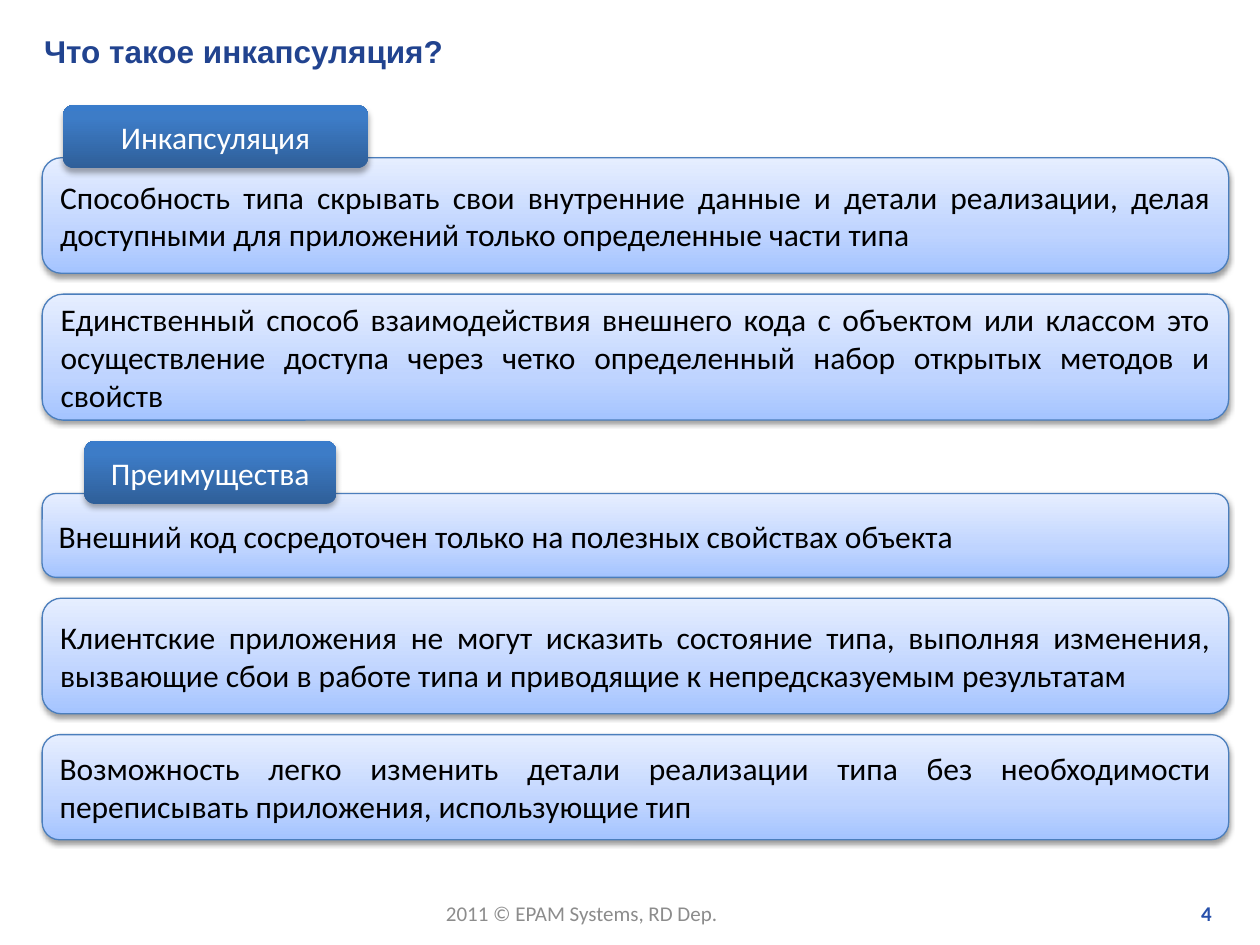
from lxml import etree
from pptx import Presentation
from pptx import util as u
from pptx.dml.color import RGBColor
from pptx.enum import shapes, text
from pptx.oxml.ns import qn

# Content: each group has a tab (left, width, label) and its cards (height, words)
GROUPS = [
    ((1.27, 6.15, "Инкапсуляция"), [
        (2.33, "Способность типа скрывать свои внутренние данные и детали реализации, "
               "делая доступными для приложений только определенные части типа"),
        (2.54, "Единственный способ взаимодействия внешнего кода с объектом или классом "
               "это осуществление доступа через четко определенный набор открытых методов и свойств"),
    ]),
    ((1.7, 5.08, "Преимущества"), [
        (1.69, "Внешний код сосредоточен только на полезных свойствах объекта"),
        (2.33, "Клиентские приложения не могут исказить состояние типа, выполняя изменения, "
               "вызвающие сбои в работе типа и приводящие к непредсказуемым результатам"),
        (2.12, "Возможность легко изменить детали реализации типа без необходимости "
               "переписывать приложения, использующие тип"),
    ]),
]
LEFT, WIDE, TOP = 0.85, 23.92, 2.12
GAP, STEP, TAB = 0.42, 1.06, 1.27

# Formats
AL = text.PP_ALIGN
HEAD = dict(name="Arial", size=18, bold=True, color="21438F")
FOOT = dict(name="Calibri", size=12, color="8C8C8C")
PAGE = dict(FOOT, bold=True, color="2750AB")
BODY = dict(name="Calibri", size=18, color="000000")
LABEL = dict(BODY, color="FFFFFF")
CARD = dict(stops=[(0, "A4C4FF"), (35, "BFD4FF"), (100, "E6EEFF")],
            line="4B7EBC", shade=(38, 3.1, 1.6), font=BODY, align=AL.JUSTIFY)
CAP = dict(stops=[(0, "2F5F99"), (80, "3D7CC7"), (100, "3A7CCB")],
           line=None, shade=(32, 3.5, 2.2), font=LABEL, align=AL.CENTER)


def rgb(code):
    return RGBColor.from_string(code)


def node(root, tag, **atts):
    return etree.SubElement(root, qn(tag), {k: str(v) for k, v in atts.items()})


def write(shape, words, font, align, wrap=True):
    frame = shape.text_frame
    frame.word_wrap = wrap
    frame.vertical_anchor = text.MSO_ANCHOR.MIDDLE
    para = frame.paragraphs[0]
    para.alignment = align
    run = para.add_run()
    run.text = words
    for key, val in font.items():
        if key == "color":
            run.font.color.rgb = rgb(val)
        else:
            setattr(run.font, key, u.Pt(val) if key == "size" else val)


def note(box, words, font, align=AL.LEFT, wrap=True):
    write(slide.shapes.add_textbox(*map(u.Cm, box)), words, font, align, wrap)


def panel(box, words, look):
    shape = slide.shapes.add_shape(shapes.MSO_SHAPE.ROUNDED_RECTANGLE, *map(u.Cm, box))
    # Gradient rising from the bottom edge
    shape.fill.gradient()
    props = shape._element.spPr
    grad = props.find(qn("a:gradFill"))
    for kid in list(grad):
        grad.remove(kid)
    stops = node(grad, "a:gsLst")
    for pos, code in look["stops"]:
        node(node(stops, "a:gs", pos=pos * 1000), "a:srgbClr", val=code)
    node(grad, "a:lin", ang=270 * 60000, scaled=0)
    # Outline
    if look["line"]:
        shape.line.color.rgb = rgb(look["line"])
        shape.line.width = u.Pt(0.75)
    else:
        shape.line.fill.background()
    # Soft shadow straight below
    shape.shadow.inherit = False
    alpha, blur, dist = look["shade"]
    drop = node(props.find(qn("a:effectLst")), "a:outerShdw", blurRad=u.Pt(blur),
                dist=u.Pt(dist), dir=90 * 60000, rotWithShape=0)
    node(node(drop, "a:srgbClr", val="000000"), "a:alpha", val=alpha * 1000)
    write(shape, words, look["font"], look["align"])


deck = Presentation()
deck.slide_width, deck.slide_height = u.Cm(25.4), u.Cm(19.05)
slide = deck.slides.add_slide(deck.slide_layouts[6])

# Title and footer
note((0.64, 0.51, 24.23, 1.02), "Что такое инкапсуляция?", HEAD)
note((8.74, 18.03, 6.07, 0.76), "2011 © EPAM Systems, RD Dep.", FOOT, wrap=False)
note((19.3, 18.03, 5.38, 0.76), "4", PAGE, AL.RIGHT)

# Stacked cards, with each tab overlapping the first card of its group
top = TOP
for (left, wide, label), cards in GROUPS:
    start = top
    top += STEP
    for high, words in cards:
        panel((LEFT, top, WIDE, high), words, CARD)
        top += high + GAP
    panel((left, start, wide, TAB), label, CAP)

deck.save("out.pptx")
